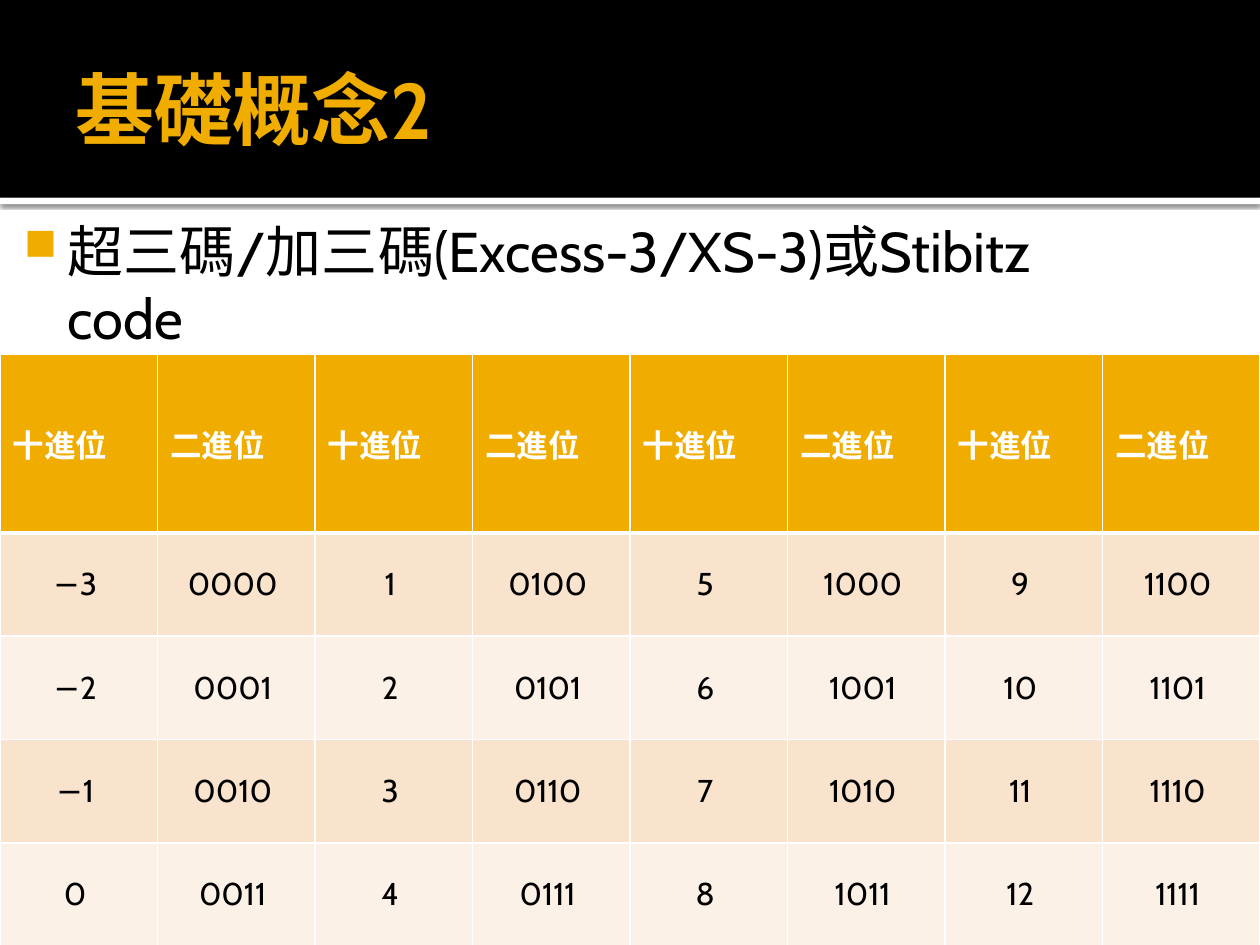
from dataclasses import dataclass

from lxml import etree
from pptx import Presentation
from pptx.dml.color import RGBColor
from pptx.enum.shapes import MSO_SHAPE
from pptx.enum.text import MSO_ANCHOR, PP_ALIGN
from pptx.oxml.ns import qn
from pptx.util import Inches, Pt

RECT = MSO_SHAPE.RECTANGLE
TOP, MIDDLE = MSO_ANCHOR.TOP, MSO_ANCHOR.MIDDLE
LEFT, CENTER = PP_ALIGN.LEFT, PP_ALIGN.CENTER
FONT = "Cabin"
GOLD, WHITE, BLACK = "F0AD00", "FFFFFF", "000000"
BANDS = ("F9E3CC", "FCF1E7")
PAIRS, ROWS = 4, 4
HEAD_H, ROW_H = 1.42, 0.82


@dataclass
class Box:
    left: float
    top: float
    width: float
    height: float

    def emu(self) -> list:
        return [Inches(v) for v in (self.left, self.top, self.width, self.height)]


@dataclass
class Style:
    size: float
    color: str
    bold: bool = False
    align: PP_ALIGN = LEFT


def rgb(code: str) -> RGBColor:
    return RGBColor.from_string(code)


def node(parent, tag: str, **attrs):
    item = etree.SubElement(parent, qn(tag))
    for key, value in attrs.items():
        item.set(key, str(value))
    return item


def write(para, text: str, style: Style) -> None:
    para.text = text
    para.alignment = style.align
    for run in para.runs:
        font = run.font
        font.name, font.size, font.bold = FONT, Pt(style.size), style.bold
        font.color.rgb = rgb(style.color)


def add_bar(slide, box: Box, color: str):
    bar = slide.shapes.add_shape(RECT, *box.emu())
    bar.shadow.inherit = False
    bar.fill.solid()
    bar.fill.fore_color.rgb = rgb(color)
    bar.line.fill.background()
    return bar


def add_shade(bar) -> None:
    """Cast a soft shadow straight down."""
    effects = bar._element.spPr.find(qn("a:effectLst"))
    shade = node(effects, "a:outerShdw", blurRad=Pt(2.5), dist=Pt(0.8),
                 dir=90 * 60000, algn="tl", rotWithShape=0)
    node(node(shade, "a:srgbClr", val=BLACK), "a:alpha", val=60000)


def add_text(slide, box: Box, insets: tuple, anchor: MSO_ANCHOR):
    frame = slide.shapes.add_textbox(*box.emu()).text_frame
    frame.word_wrap = True
    frame.vertical_anchor = anchor
    (frame.margin_left, frame.margin_top,
     frame.margin_right, frame.margin_bottom) = [Inches(v) for v in insets]
    return frame.paragraphs[0]


def add_bullet(para, mark: str, color: str, indent: float, hang: float) -> None:
    props = para._p.get_or_add_pPr()
    props.set("marL", str(Inches(indent)))
    props.set("indent", str(Inches(-hang)))
    node(node(props, "a:buClr"), "a:srgbClr", val=color)
    node(props, "a:buSzPct", val=80000)
    node(props, "a:buChar", char=mark)


def set_cell(cell, text: str, style: Style, fill: str, widths: dict) -> None:
    """Fill one cell; widths gives the border points by side."""
    props = cell._tc.get_or_add_tcPr()
    for side, width in widths.items():
        line = node(props, "a:ln" + side, w=Pt(width))
        node(node(line, "a:solidFill"), "a:srgbClr", val=WHITE)
    cell.fill.solid()
    cell.fill.fore_color.rgb = rgb(fill)
    cell.vertical_anchor = MIDDLE
    write(cell.text_frame.paragraphs[0], text, style)


def add_codes(slide, box: Box) -> None:
    """Tabulate the sixteen codes, four to each pair of columns."""
    table = slide.shapes.add_table(ROWS + 1, PAIRS * 2, *box.emu()).table
    for col in table.columns:
        col.width = Inches(box.width / (PAIRS * 2))
    for i, row in enumerate(table.rows):
        row.height = Inches(ROW_H if i else HEAD_H)

    head = Style(18, WHITE, bold=True)
    body = Style(18, BLACK, align=CENTER)
    for pair in range(PAIRS):
        grid = [("十進位", "二進位")]
        for code in range(pair * ROWS, (pair + 1) * ROWS):
            number = str(code - 3).replace("-", "−")
            grid.append((f"{number} ", f"{code:04b} "))
        for i, texts in enumerate(grid):
            style = body if i else head
            fill = BANDS[(i - 1) % 2] if i else GOLD
            widths = {"L": 1, "R": 1, "T": 3 if i == 1 else 1, "B": 1 if i else 3}
            for j, text in enumerate(texts):
                set_cell(table.cell(i, pair * 2 + j), text, style, fill, widths)


def main() -> None:
    deck = Presentation()
    deck.slide_width, deck.slide_height = Inches(10), Inches(7.5)
    slide = deck.slides.add_slide(deck.slide_layouts[6])

    add_shade(add_bar(slide, Box(0, 1.57, 10, 0.05), WHITE))
    add_bar(slide, Box(0, 0, 10, 1.57), BLACK)

    title = add_text(slide, Box(0.5, 0.17, 9, 1.37), (0.1, 0.05, 0.05, 0.05), MIDDLE)
    write(title, "基礎概念2", Style(45, GOLD, bold=True))

    topic = add_text(slide, Box(0, 1.62, 9, 1.19), (0.06, 0.1, 0.1, 0.05), TOP)
    add_bullet(topic, "■", GOLD, 0.48, 0.35)
    write(topic, "超三碼/加三碼(Excess-3/XS-3)或Stibitz code", Style(32, BLACK))

    add_codes(slide, Box(0, 2.81, 10, HEAD_H + ROWS * ROW_H))
    deck.save("out.pptx")


if __name__ == "__main__":
    main()
